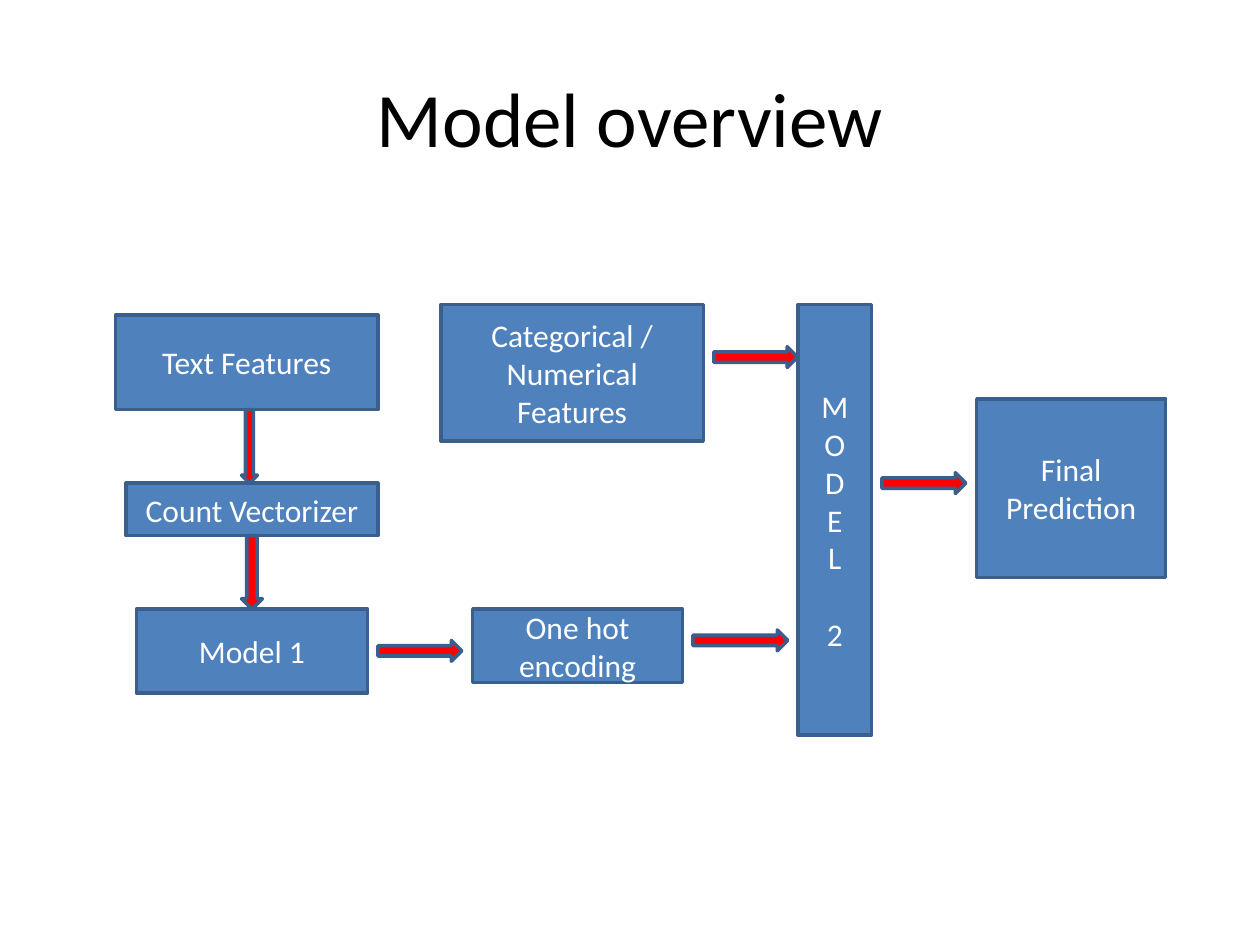
from pptx import Presentation
from pptx.dml.color import RGBColor
from pptx.enum.shapes import MSO_SHAPE
from pptx.enum.text import MSO_ANCHOR, PP_ALIGN
from pptx.util import Cm, Pt

HUES = {"box": "4F81BD", "edge": "3A5F8C", "arrow": "FF0000",
        "light": "FFFFFF", "dark": "000000"}


def hue(name):
    return RGBColor.from_string(HUES[name])


def write(frame, text, size=18, color="light", font="Calibri", gap=0):
    frame.word_wrap = True
    frame.vertical_anchor = MSO_ANCHOR.MIDDLE
    lines = text.split("\n")
    for i, line in enumerate(lines):
        para = frame.add_paragraph() if i else frame.paragraphs[0]
        para.alignment = PP_ALIGN.CENTER
        if gap and i == len(lines) - 1:
            para.space_before = Pt(gap)
        run = para.add_run()
        run.text = line
        run.font.name = font
        run.font.size = Pt(size)
        run.font.color.rgb = hue(color)


class Chart:
    def __init__(self, slide, edge=2):
        self.slide = slide
        self.edge = edge

    def title(self, area, text):
        box = self.slide.shapes.add_textbox(*map(Cm, area))
        write(box.text_frame, text, size=44, color="dark")

    def shape(self, kind, area, fill):
        item = self.slide.shapes.add_shape(kind, *map(Cm, area))
        item.shadow.inherit = False
        item.fill.solid()
        item.fill.fore_color.rgb = hue(fill)
        item.line.color.rgb = hue("edge")
        item.line.width = Pt(self.edge)
        return item

    def box(self, area, text, gap=0):
        item = self.shape(MSO_SHAPE.RECTANGLE, area, "box")
        write(item.text_frame, text, gap=gap)

    def down(self, left, top, width):
        self.shape(MSO_SHAPE.DOWN_ARROW, (left, top, width, 1.48), "arrow")

    def right(self, left, top, width=1.69):
        self.shape(MSO_SHAPE.RIGHT_ARROW, (left, top, width, 0.42), "arrow")


def main():
    deck = Presentation()
    deck.slide_width, deck.slide_height = Cm(25.4), Cm(19.05)
    chart = Chart(deck.slides.add_slide(deck.slide_layouts[6]))

    chart.title((1.27, 0.76, 22.86, 3.18), "Model overview")

    for area, text in [
        ((2.33, 6.35, 5.29, 1.91), "Text Features"),
        ((2.54, 9.74, 5.08, 1.06), "Count Vectorizer"),
        ((2.75, 12.28, 4.66, 1.69), "Model 1"),
        ((8.89, 6.14, 5.29, 2.75), "Categorical /\nNumerical Features"),
        ((9.53, 12.28, 4.23, 1.48), "One hot encoding"),
        ((19.69, 8.04, 3.81, 3.6), "Final\nPrediction"),
    ]:
        chart.box(area, text)
    chart.box((16.09, 6.14, 1.48, 8.68), "\n".join("MODEL2"), gap=22)

    chart.down(4.87, 8.26, 0.32)
    chart.down(4.87, 10.8, 0.42)
    chart.right(14.39, 6.99)
    chart.right(17.78, 9.53)
    chart.right(7.62, 12.91)
    chart.right(13.97, 12.7, width=1.91)

    deck.save("out.pptx")


if __name__ == "__main__":
    main()
